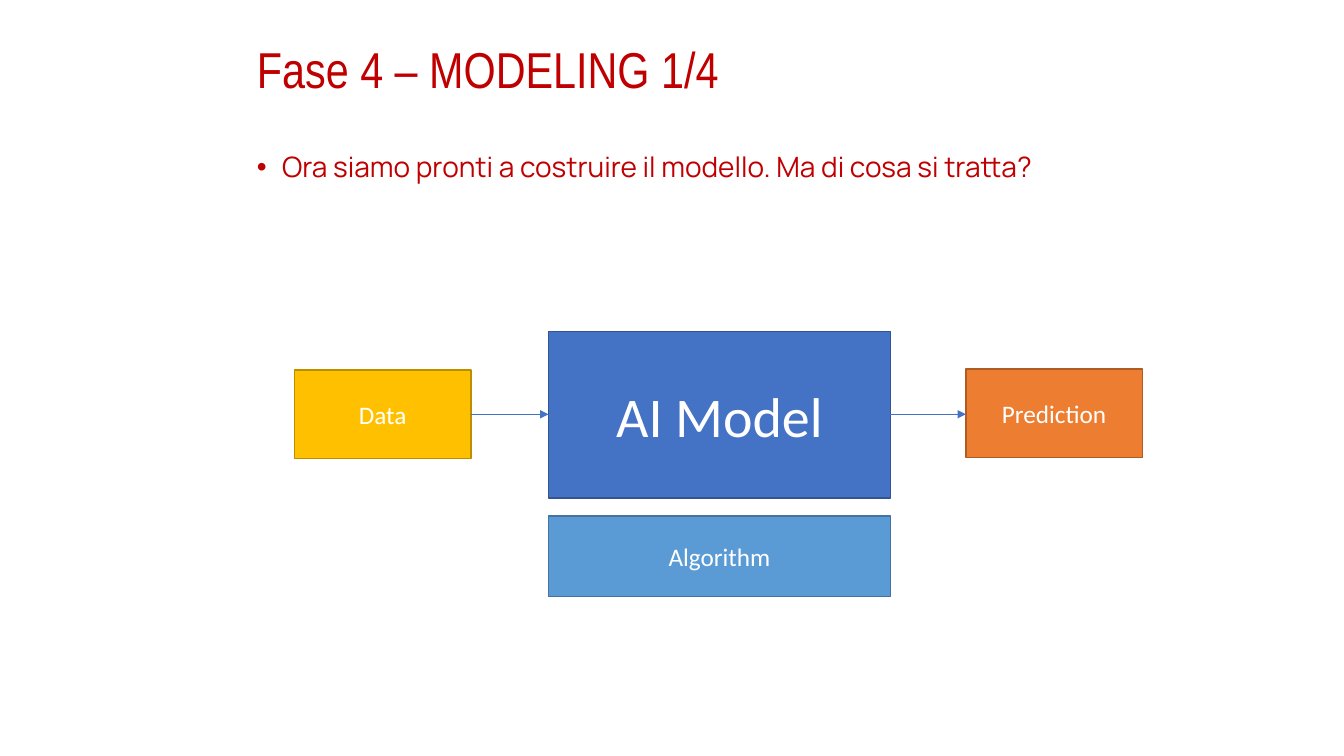
from dataclasses import dataclass

from lxml import etree
from pptx import Presentation
from pptx.dml.color import RGBColor
from pptx.enum.shapes import MSO_CONNECTOR as CONN, MSO_SHAPE as SHAPE
from pptx.enum.text import MSO_ANCHOR as ANCHOR, PP_ALIGN as ALIGN
from pptx.oxml.ns import qn
from pptx.util import Inches, Pt


@dataclass(frozen=True)
class Theme:
    red: str = "C00000"
    white: str = "FFFFFF"
    blue: tuple = ("4472C4", "325491")
    gold: tuple = ("FFC000", "BD8E00")
    orange: tuple = ("ED7D31", "AF5C24")
    sky: tuple = ("5B9BD5", "43739E")
    title_font: str = "Arial Narrow"
    body_font: str = "Manrope"
    box_font: str = "Calibri"
    title_size: int = 36
    body_size: int = 20
    model_size: int = 40
    label_size: int = 18


THEME = Theme()


def rgb(value):
    return RGBColor.from_string(value)


def style_run(p, font, size, color):
    r = p.runs[0]
    r.font.name = font
    r.font.size = Pt(size)
    r.font.color.rgb = rgb(color)


def add_bullet(p, color):
    pPr = p._p.get_or_add_pPr()
    pPr.set("marL", str(Inches(0.25)))
    pPr.set("indent", str(Inches(-0.25)))
    clr = etree.SubElement(pPr, qn("a:buClr"))
    etree.SubElement(clr, qn("a:srgbClr"), val=color)
    etree.SubElement(pPr, qn("a:buFont"), typeface="Arial")
    etree.SubElement(pPr, qn("a:buChar"), char="•")


def add_text(slide, top, height, text, font, size, bullet=False):
    sp = slide.shapes.add_textbox(Inches(2.45), Inches(top), Inches(9.96), Inches(height))
    tf = sp.text_frame
    tf.word_wrap = True
    tf.text = text
    p = tf.paragraphs[0]
    if bullet:
        add_bullet(p, THEME.red)
    p.line_spacing = 0.9
    style_run(p, font, size, THEME.red)


def add_box(slide, left, top, width, height, text, colors, size=THEME.label_size):
    fill, line = colors
    sp = slide.shapes.add_shape(
        SHAPE.RECTANGLE, Inches(left), Inches(top), Inches(width), Inches(height))
    sp.shadow.inherit = False
    sp.fill.solid()
    sp.fill.fore_color.rgb = rgb(fill)
    sp.line.color.rgb = rgb(line)
    sp.line.width = Pt(1)
    tf = sp.text_frame
    tf.word_wrap = True
    tf.vertical_anchor = ANCHOR.MIDDLE
    tf.text = text
    p = tf.paragraphs[0]
    p.alignment = ALIGN.CENTER
    style_run(p, THEME.box_font, size, THEME.white)
    return sp


def add_arrow(slide, source, target, y):
    cx = slide.shapes.add_connector(
        CONN.STRAIGHT, source.left + source.width, Inches(y), target.left, Inches(y))
    cx.line.color.rgb = rgb(THEME.blue[0])
    cx.line.width = Pt(0.5)
    etree.SubElement(cx.line._get_or_add_ln(), qn("a:tailEnd"), type="triangle")
    etree.SubElement(cx._element.spPr, qn("a:effectLst"))


def main():
    prs = Presentation()
    prs.slide_width, prs.slide_height = Inches(13.33), Inches(7.5)
    slide = prs.slides.add_slide(prs.slide_layouts[6])

    add_text(slide, 0.4, 0.88, "Fase 4 – MODELING 1/4", THEME.title_font, THEME.title_size)
    add_text(slide, 1.47, 5.28,
             "Ora siamo pronti a costruire il modello. Ma di cosa si tratta?",
             THEME.body_font, THEME.body_size, bullet=True)

    model = add_box(slide, 5.44, 3.29, 3.39, 1.65, "AI Model", THEME.blue, THEME.model_size)
    data = add_box(slide, 2.92, 3.67, 1.75, 0.88, "Data", THEME.gold)
    prediction = add_box(slide, 9.58, 3.66, 1.75, 0.88, "Prediction", THEME.orange)
    add_box(slide, 5.44, 5.12, 3.39, 0.8, "Algorithm", THEME.sky)

    for source, target in ((data, model), (model, prediction)):
        add_arrow(slide, source, target, 4.11)

    prs.save("out.pptx")


if __name__ == "__main__":
    main()
